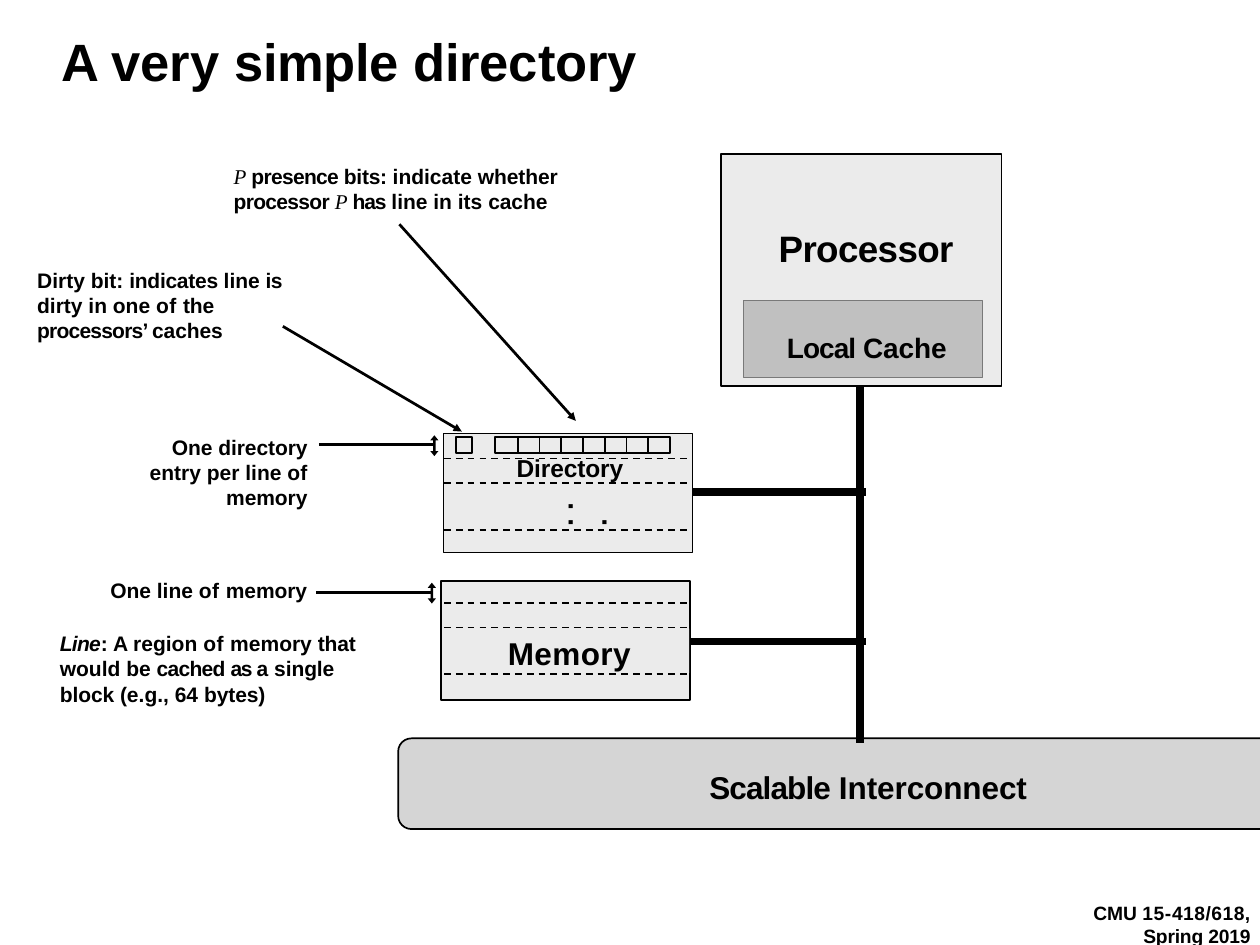
import math
from pptx import Presentation
from pptx.dml.color import RGBColor
from pptx.enum import dml, shapes, text
from pptx.oxml.ns import qn
from pptx.util import Inches, Pt

COLORS = {"ink": "000000", "box": "EBEBEB", "cache": "C0C0C0",
          "cache_line": "797979", "network": "D5D5D5"}
LEFT, RIGHT = text.PP_ALIGN.LEFT, text.PP_ALIGN.RIGHT
ITALIC = {"italic": True}
MATH = {"italic": True, "bold": False, "name": "Times New Roman"}


def rgb(name):
    return RGBColor.from_string(COLORS[name])


def write(sp, paragraphs, size, align=LEFT, left=0.01, top=0.01):
    tf = sp.text_frame
    tf.word_wrap = True
    tf.auto_size = text.MSO_AUTO_SIZE.NONE
    tf.vertical_anchor = text.MSO_ANCHOR.TOP
    tf.margin_left, tf.margin_top = Inches(left), Inches(top)
    tf.margin_right = tf.margin_bottom = 0
    for i, runs in enumerate(paragraphs):
        p = tf.add_paragraph() if i else tf.paragraphs[0]
        p.alignment = align
        p.space_before = Pt(0)
        for content, spacing, *style in runs:
            r = p.add_run()
            r.text = content
            r.font.name, r.font.size, r.font.bold = "Arial", Pt(size), True
            r.font.color.rgb = rgb("ink")
            for key, value in (style[0] if style else {}).items():
                setattr(r.font, key, value)
            props = r._r.get_or_add_rPr()
            props.set("kern", "0")
            props.set("spc", str(round(spacing * 100)))
    return tf


def textbox(s, box, paragraphs, size, **options):
    sp = s.shapes.add_textbox(*map(Inches, box))
    return write(sp, paragraphs, size, **options)


def paint(sp, fill, line, width=1.92):
    sp.shadow.inherit = False
    if fill:
        sp.fill.solid()
        sp.fill.fore_color.rgb = rgb(fill)
    else:
        sp.fill.background()
    if line:
        sp.line.color.rgb = rgb(line)
        sp.line.width = Pt(width)
    else:
        sp.line.fill.background()
    return sp


def block(s, box, fill, line="ink", width=1.92):
    sp = s.shapes.add_shape(shapes.MSO_SHAPE.RECTANGLE, *map(Inches, box))
    return paint(sp, fill, line, width)


def outline(s, contours, fill=None, line="ink", close=False):
    contours = [[(Inches(x), Inches(y)) for x, y in c] for c in contours]
    fb = s.shapes.build_freeform(*contours[0][0])
    for i, contour in enumerate(contours):
        if i:
            fb.move_to(*contour[0])
        fb.add_line_segments(contour[1:], close=close)
    return paint(fb.convert_to_shape(), fill, line)


def line(s, x1, y1, x2, y2, width, arrow=False):
    c = s.shapes.add_connector(shapes.MSO_CONNECTOR.STRAIGHT,
                               *map(Inches, (x1, y1, x2, y2)))
    c.line.color.rgb = rgb("ink")
    c.line.width = Pt(width)
    if arrow:
        ln = c.line._get_or_add_ln()
        ln.append(ln.makeelement(qn("a:tailEnd"), {"type": "triangle"}))
    props = c._element.spPr
    props.append(props.makeelement(qn("a:effectLst"), {}))


def title(s, box):
    sp = s.shapes.title
    sp.left, sp.top, sp.width, sp.height = map(Inches, box)
    write(sp, [[("A very ", 0), ("simple ", -0.4), ("directory", -0.1)]], 60)


def interconnect(s, x, y, w, h, radius=0.21):
    points = [(x + w, y)]
    for cy, start in ((y + radius, 270), (y + h - radius, 180)):
        for step in range(0, 91, 15):
            a = math.radians(start - step)
            points.append((x + radius + radius * math.cos(a),
                           cy + radius * math.sin(a)))
    points.append((x + w, y + h))
    outline(s, [points], "network")
    textbox(s, (x + 4.93, y + 0.46, 5.07, 0.63),
            [[("Scalable ", -1), ("Interconnect", -0.1)]], 36)


def bus(s, x, y, w, h):
    for dy in (1.68, 4.05):
        line(s, x, y + dy, x + w, y + dy, 8.16)
    line(s, x + w - 0.1, y, x + w - 0.1, y + h, 8.16)


def processor(s, x, y, w, h):
    write(block(s, (x, y, w, h), "box"), [[("Processor", -0.7)]], 42,
          left=0.92, top=1.15)
    cache = block(s, (x + 0.36, y + 2.33, 3.8, 1.22), "cache", "cache_line", 1.44)
    write(cache, [[("Local ", -1.1), ("Cache", -0.1)]], 32, left=0.69, top=0.47)


def line_span(s, x, y, w, h):
    cx, head, half, shaft = x + w / 2, 0.08, w / 2, 0.02
    right = [(0, 0), (half, head), (shaft, head),
             (shaft, h - head), (half, h - head), (0, h)]
    left = [(-dx, dy) for dx, dy in right[-2:0:-1]]
    outline(s, [[(cx + dx, y + dy) for dx, dy in right + left]],
            "ink", None, close=True)


def storage(s, x, y, w, h):
    block(s, (x, y, w, h), "box")
    line(s, x - 1.98, y + 0.18, x - 0.14, y + 0.18, 3.12)
    line_span(s, x - 0.21, y + 0.03, 0.13, 0.33)


def directory(s, x, y, w, h):
    storage(s, x, y, w, h)
    label = block(s, (x + 0.02, y + 0.41, w - 0.03, 0.36), "box", None)
    tf = write(label, [[("Directory", -0.1)]], 28, left=1.14, top=0)
    tf.paragraphs[0].line_spacing = Pt(25.9)
    dots = textbox(s, (x + 1.61, y + 0.87, 0.62, 0.6), [[(". . .", 0)]], 32,
                   left=0, top=0.05)
    dots._txBody.bodyPr.set("vert", "vert270")
    top, bottom = y + 0.06, y + 0.31
    fields = ((x + 0.2, x + 0.45), (x + 0.82, x + 3.6))
    outline(s, [[(a, bottom), (b, bottom), (b, top), (a, top)]
                for a, b in fields], close=True)
    dividers = [x + 1.18 + i * 0.345 for i in range(7)]
    outline(s, [[(dx, top), (dx, bottom)] for dx in dividers])


def memory(s, x, y, w, h):
    storage(s, x, y, w, h)
    label = block(s, (x + 0.02, y + 0.76, w - 0.03, 0.7), "box", None)
    write(label, [[("Memory", 0.5)]], 36, left=1.04, top=0.08)


def entry_rows(s, x, y, w):
    rows = [y + dy for dy in (0, 0.39, 1.13, 2.29, 2.68, 3.42)]
    sp = outline(s, [[(x, row), (x + w, row)] for row in rows])
    sp.line.dash_style = dml.MSO_LINE.DASH


def notes(s, x, y):
    textbox(s, (x + 3.12, y, 5.22, 0.83), [[
        ("P ", 0, MATH), ("presence ", -0.8), ("bits: ", -0.3),
        ("indicate ", 0), ("whether ", -0.1), ("processor ", -0.8),
        ("P ", 0, MATH), ("has ", -1.2), ("line in its ", 0), ("cache", -0.1)]], 24)
    textbox(s, (x, y + 1.64, 3.95, 1.23), [[
        ("Dirty bit: ", 0), ("indicates ", -0.3), ("line ", 0), ("is ", -0.9),
        ("dirty in one ", 0), ("of ", 0.5), ("the ", -0.2),
        ("processors’ ", -0.9), ("caches", -0.1)]], 24)
    textbox(s, (x + 1.75, y + 4.29, 2.55, 1.23), [
        [("One ", 0), ("directory ", -0.1), ("entry per line ", 0), ("of", 0.2)],
        [("memory", -0.1)]], 24, align=RIGHT)
    textbox(s, (x + 1.16, y + 6.57, 3.15, 0.43),
            [[("One line ", 0), ("of ", 0.5), ("memory", -0.1)]], 24)
    textbox(s, (x + 0.36, y + 7.41, 4.76, 1.23), [[
        ("Line", -0.8, ITALIC), (": ", -0.8), ("A region ", 0), ("of ", 0.5),
        ("memory ", 0), ("that ", -0.2), ("would be ", 0), ("cached ", -0.8),
        ("as ", -1.8), ("a ", 0), ("single block ", -0.1), ("(e.g., 64 ", 0),
        ("bytes)", -0.1)]], 24)
    line(s, x + 3.91, y + 2.59, x + 6.75, y + 4.26, 3.12, arrow=True)
    line(s, x + 5.76, y + 0.97, x + 8.56, y + 4.09, 3.12, arrow=True)


def footer(s, box):
    textbox(s, box, [[("CMU ", 0), ("15-", 0.7), ("418/618,", 0.6)],
                     [("Spring 2019", -0.2)]], 22, align=RIGHT, top=0.04)


def main():
    prs = Presentation()
    prs.slide_width, prs.slide_height = Inches(20), Inches(15)
    s = prs.slides.add_slide(prs.slide_layouts[5])
    title(s, (0.96, 0.45, 17.88, 1.03))
    interconnect(s, 6.32, 11.72, 13.68, 1.44)
    bus(s, 10.97, 6.13, 2.78, 5.66)
    processor(s, 11.44, 2.44, 4.46, 3.69)
    directory(s, 7.04, 6.88, 3.95, 1.89)
    memory(s, 7, 9.22, 3.95, 1.89)
    entry_rows(s, 7.05, 7.28, 3.93)
    notes(s, 0.58, 2.59)
    footer(s, (17.28, 14.27, 2.57, 0.73))
    prs.save("out.pptx")


if __name__ == "__main__":
    main()
